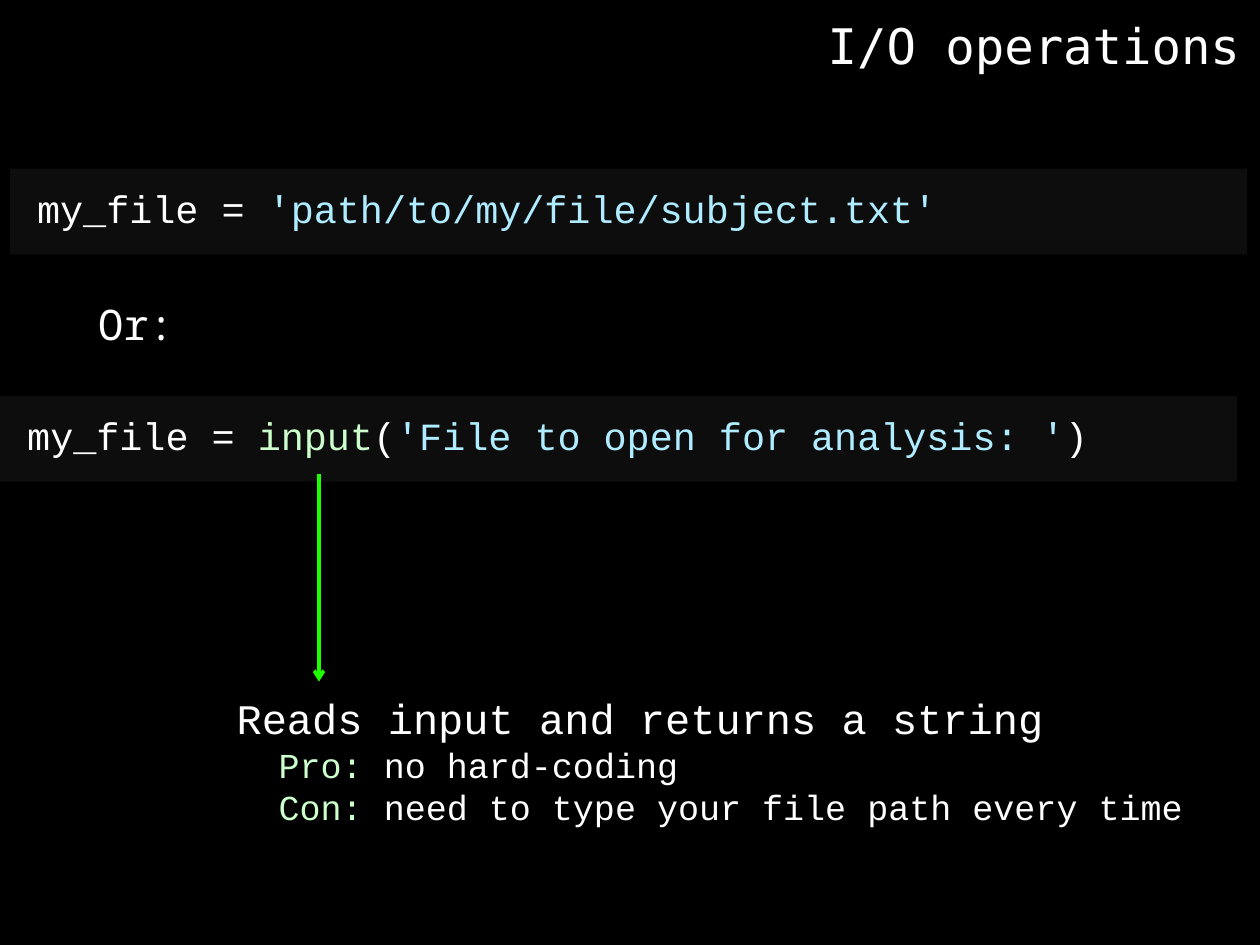
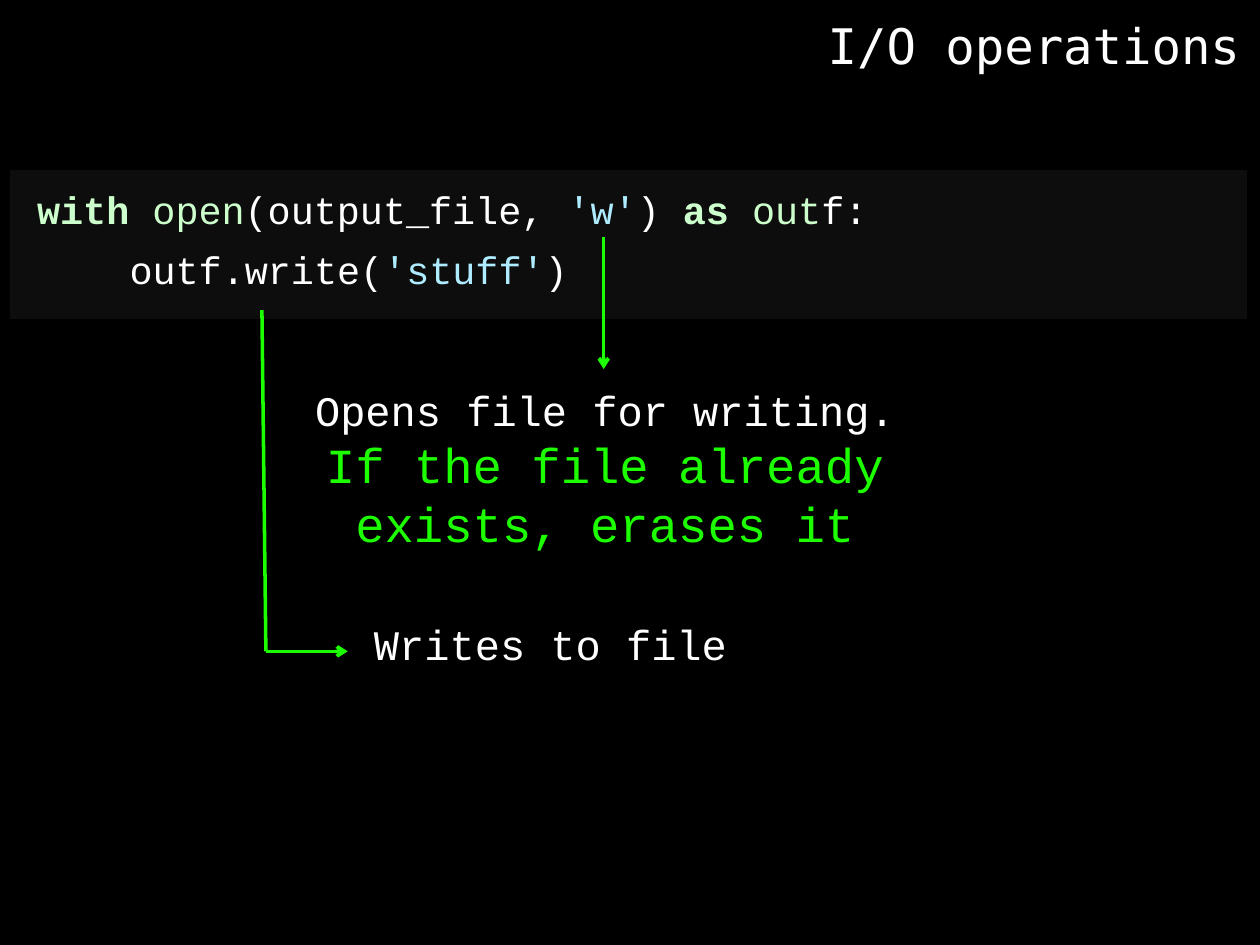
from lxml.etree import SubElement
from pptx import Presentation
from pptx.dml.color import RGBColor
from pptx.enum.shapes import MSO_CONNECTOR, MSO_SHAPE
from pptx.enum.text import MSO_AUTO_SIZE, PP_ALIGN
from pptx.oxml.ns import qn
from pptx.util import Cm, Pt

COLORS = {"back": "000000", "band": "0D0D0D", "text": "FFFFFF",
          "string": "AFECFF", "keyword": "CCFFCC", "accent": "1DFF00"}
CODE_FONT = "Courier New"
TITLE = "I/O operations"
BREAK = "\n"

# Content: a paragraph is a list of (text, colour[, overrides]) runs
# Code bands: left, top, lines of (indent in characters, runs)
# Notes: box, wrap, text format, paragraphs of (indent in characters, size, runs)
# Arrows: chains of points, with the head at the last one
BOLD = {"bold": True}
SLIDES = [
    {"bands": [
        (0.2, 3.4, [(0, [("my_file = ", "text"),
                         ("'path/to/my/file/subject.txt'", "string")])]),
        (0, 7.98, [(0, [("my_file = ", "text"), ("input", "keyword"), ("(", "text"),
                        ("'File to open for analysis: '", "string"),
                        (")", "text")])])],
     "notes": [
        ((1.73, 5.89, 2.06, 1.27), False, {"font": "Noto Sans Mono"},
         [(0, 24, [("Or:", "text")])]),
        ((4.52, 13.84, 19.76, 3), False, {},
         [(0, 24, [("Reads input and returns a string", "text")]),
          (2, 20, [("Pro: ", "keyword"), ("no hard-coding", "text")]),
          (2, 20, [("Con:", "keyword"),
                   (" need to type your file path every time", "text")])])],
     "arrows": [[(6.43, 9.55), (6.43, 13.74)]]},
    {"bands": [
        (0.2, 3.43, [
            (0, [("with", "keyword", BOLD), (" open", "keyword"),
                 ("(output_file, ", "text"), ("'w'", "string"), (") ", "text"),
                 ("as ", "keyword", BOLD), ("out", "keyword"), ("f:", "text")]),
            (4, [("outf.write(", "text"), ("'stuff'", "string"), (")", "text")])])],
     "notes": [
        ((5.72, 7.62, 12.95, 3.68), True, {"align": PP_ALIGN.CENTER},
         [(0, 24, [("Opens file for writing.", "text"), (BREAK, "text"),
                   ("If the file already exists, erases it", "accent",
                    {"size": Pt(28)})])]),
        ((7.29, 12.34, 17.4, 1.27), True, {},
         [(0, 24, [("Writes to file", "text")])])],
     "arrows": [[(12.17, 4.78), (12.17, 7.44)],
                [(5.28, 6.25), (5.36, 13.13), (7.01, 13.13)]]},
]

# Band geometry in cm
BAND_W, BAND_H, LINE_H = 24.94, 1.73, 1.27
CODE_DX, CODE_DY, CODE_W, CODE_H = 0.3, -0.08, 23.8, 1.42


def color(name):
    return RGBColor.from_string(COLORS[name])


def add_text(s, box, paragraphs, wrap=True, font=CODE_FONT, align=PP_ALIGN.LEFT,
             spacing=None):
    tf = s.shapes.add_textbox(*map(Cm, box)).text_frame
    tf.word_wrap = wrap
    tf.auto_size = MSO_AUTO_SIZE.SHAPE_TO_FIT_TEXT
    for i, (indent, size, runs) in enumerate(paragraphs):
        p = tf.add_paragraph() if i else tf.paragraphs[0]
        p.alignment, p.line_spacing = align, spacing
        if indent:  # a monospaced character is 0.6 em wide
            p._p.get_or_add_pPr().set("marL", str(int(Pt(indent * size * 0.6))))
        for text, name, *extra in runs:
            if text == BREAK:
                p.add_line_break()
                continue
            r = p.add_run()
            r.text = text
            r.font.color.rgb = color(name)
            style = {"name": font, "size": Pt(size), "bold": False}
            for key, value in (style | (extra[0] if extra else {})).items():
                setattr(r.font, key, value)


def add_band(s, left, top, lines):
    extra = LINE_H * (len(lines) - 1)
    sp = s.shapes.add_shape(MSO_SHAPE.RECTANGLE, Cm(left), Cm(top),
                            Cm(BAND_W), Cm(BAND_H + extra))
    sp.shadow.inherit = False
    sp.fill.solid()
    sp.fill.fore_color.rgb = color("band")
    sp.line.fill.background()
    add_text(s, (left + CODE_DX, top + CODE_DY, CODE_W, CODE_H + extra),
             [(indent, 22, runs) for indent, runs in lines], spacing=1.3)


def add_arrow(s, points):
    # A bent arrow is a group of straight lines
    shapes = s.shapes.add_group_shape().shapes if len(points) > 2 else s.shapes
    for start, end in zip(points, points[1:]):
        line = shapes.add_connector(MSO_CONNECTOR.STRAIGHT, *map(Cm, start + end))
        line.line.color.rgb = color("accent")
        line.line.width = Pt(2)
        if end == points[-1]:
            SubElement(line.line._get_or_add_ln(), qn("a:tailEnd"), type="arrow")
        SubElement(line._element.spPr, qn("a:effectLst"))


prs = Presentation()
prs.slide_width, prs.slide_height = Cm(25.4), Cm(19.05)

for content in SLIDES:
    s = prs.slides.add_slide(prs.slide_layouts[6])
    s.background.fill.solid()
    s.background.fill.fore_color.rgb = color("back")
    add_text(s, (16.36, 0.18, 8.89, 1.45), [(0, 28, [(TITLE, "text")])],
             wrap=False, font="DejaVu Sans Mono", align=PP_ALIGN.RIGHT)
    for band in content["bands"]:
        add_band(s, *band)
    for box, wrap, style, paragraphs in content["notes"]:
        add_text(s, box, paragraphs, wrap, **style)
    for points in content["arrows"]:
        add_arrow(s, points)

prs.save("out.pptx")
